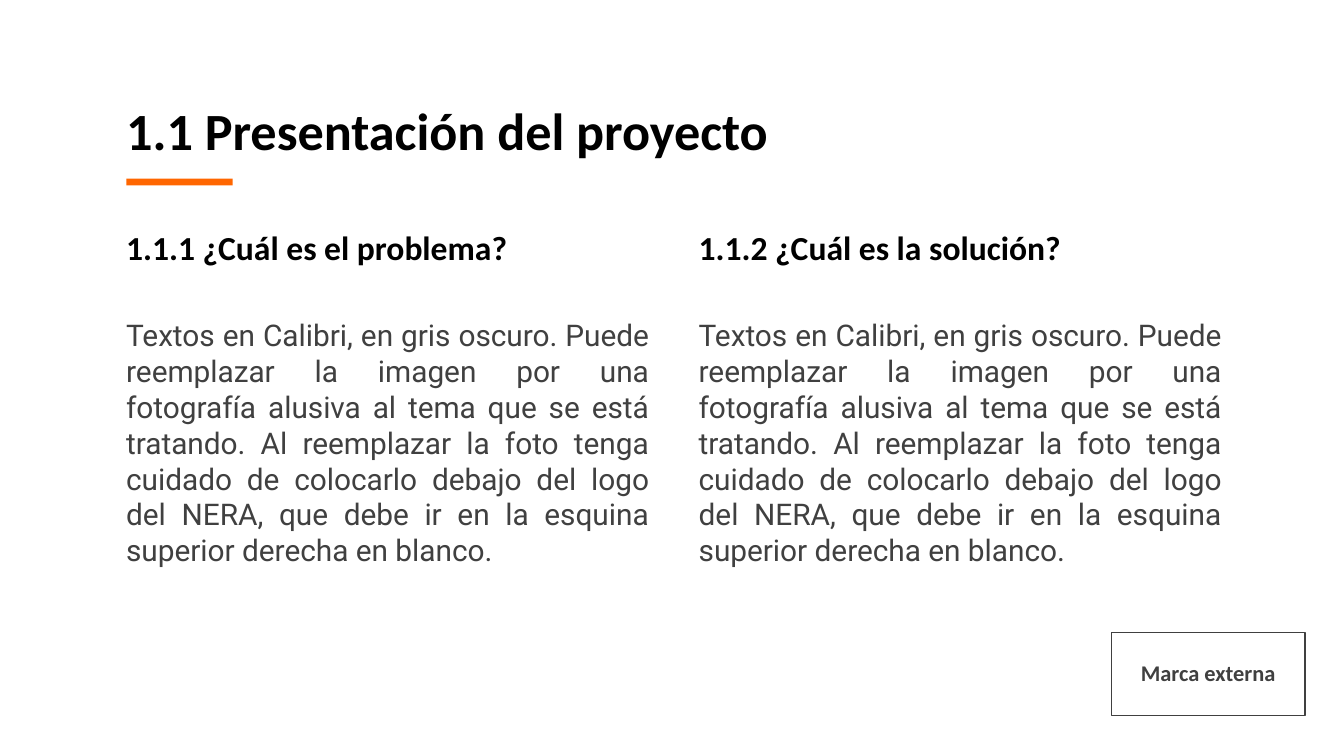
from pptx import Presentation
from pptx.dml.color import RGBColor
from pptx.enum.shapes import MSO_SHAPE
from pptx.enum.text import PP_ALIGN
from pptx.util import Inches, Pt

RECTANGLE = MSO_SHAPE.RECTANGLE
LEFT, CENTER, JUSTIFY = PP_ALIGN.LEFT, PP_ALIGN.CENTER, PP_ALIGN.JUSTIFY

COLORS = {"heading": "000000", "body": "404040", "accent": "FF6600"}
SLIDE_W = 10
SLIDE_H = SLIDE_W * 9 / 16
MARGIN = 0.84        # left edge of the first column
COLUMN_STEP = 4.26   # distance between column starts
COLUMN_W = 4.09
INSET = 0.1          # inner side margin of a text box

QUESTIONS = ["1.1.1 ¿Cuál es el problema?", "1.1.2 ¿Cuál es la solución?"]
ANSWER = (
    "Textos en Calibri, en gris oscuro. Puede reemplazar la imagen por una "
    "fotografía alusiva al tema que se está tratando. Al reemplazar la foto "
    "tenga cuidado de colocarlo debajo del logo del NERA, que debe ir en la "
    "esquina superior derecha en blanco."
)


def rgb(name):
    return RGBColor.from_string(COLORS[name])


def add_text(slide, box, text, size, color, font="Calibri", bold=True, align=LEFT):
    frame = slide.shapes.add_textbox(*map(Inches, box)).text_frame
    frame.word_wrap = True
    paragraph = frame.paragraphs[0]
    paragraph.text = text
    paragraph.alignment = align
    paragraph.font.name = font
    paragraph.font.size = Pt(size)
    paragraph.font.bold = bold
    paragraph.font.color.rgb = rgb(color)
    return paragraph


def add_rectangle(slide, box, fill=None, line=None):
    rectangle = slide.shapes.add_shape(RECTANGLE, *map(Inches, box))
    rectangle.shadow.inherit = False
    if fill:
        rectangle.fill.solid()
        rectangle.fill.fore_color.rgb = rgb(fill)
    else:
        rectangle.fill.background()
    if line:
        rectangle.line.color.rgb = rgb(line)
        rectangle.line.width = Pt(0.75)
    else:
        rectangle.line.fill.background()


def add_header(slide, left, top, width, height):
    add_text(slide, (left, top, width, height), "1.1 Presentación del proyecto",
             28, "heading")
    # Accent bar, aligned with the title text
    add_rectangle(slide, (left + INSET, top + 0.65, 0.79, 0.05), fill="accent")


def add_column(slide, left, top, width, height, question):
    heading = add_text(slide, (left, top, width * 0.95, 0.41), question, 18, "heading")
    heading.line_spacing = 1.07
    heading.space_after = Pt(8)
    # Answer fills the rest of the column
    answer_offset = 0.69
    add_text(slide, (left, top + answer_offset, width, height - answer_offset),
             ANSWER, 16, "body", font="Roboto", bold=False, align=JUSTIFY)


def add_brand_box(slide, left, top, width, height):
    add_rectangle(slide, (left, top, width, height), line="body")
    label_h = 0.3
    add_text(slide, (left, top + 0.15, width, label_h),
             "Marca externa", 12, "body", align=CENTER)


def main():
    presentation = Presentation()
    presentation.slide_width = Inches(SLIDE_W)
    presentation.slide_height = Inches(SLIDE_H)
    slide = presentation.slides.add_slide(presentation.slide_layouts[6])

    add_header(slide, MARGIN, 0.68, 5.71, 1.18)
    for index, question in enumerate(QUESTIONS):
        add_column(slide, MARGIN + index * COLUMN_STEP, 1.62, COLUMN_W, 2.68, question)
    # Brand box sits in the bottom right corner
    brand_w, brand_h = 1.44, 0.62
    add_brand_box(slide, SLIDE_W - 0.29 - brand_w, SLIDE_H - 0.3 - brand_h,
                  brand_w, brand_h)

    presentation.save("out.pptx")


if __name__ == "__main__":
    main()
